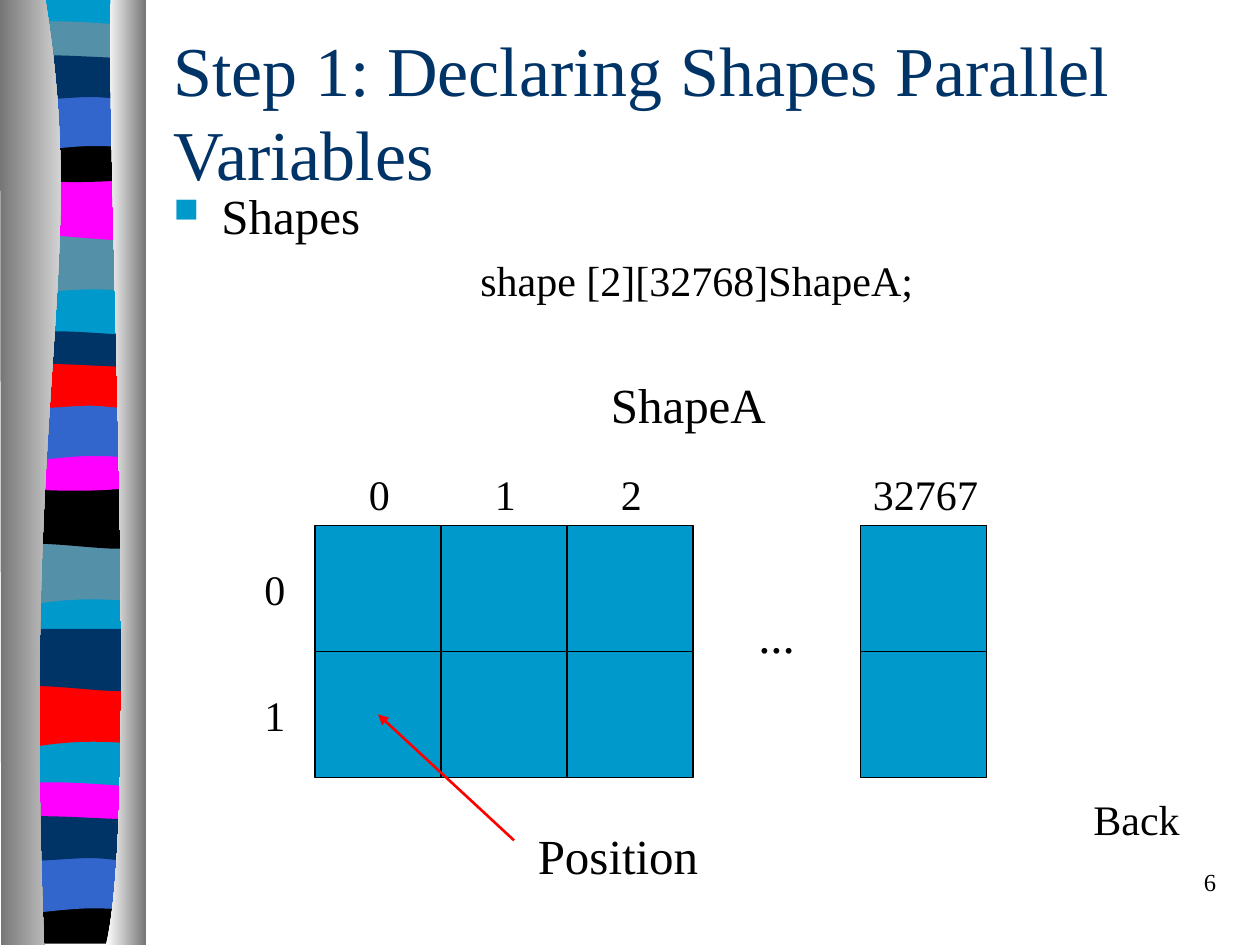
import dataclasses
import typing

import lxml.etree
import pptx
import pptx.dml.color
import pptx.enum.shapes
import pptx.enum.text
import pptx.oxml.ns
import pptx.util

Inches = pptx.util.Inches
Align = pptx.enum.text.PP_ALIGN


@dataclasses.dataclass(frozen=True)
class Theme:
    font: str = "Times New Roman"
    sky: str = "0099CC"
    steel: str = "5490A8"
    navy: str = "003366"
    blue: str = "3366CC"
    pink: str = "FF00FF"
    red: str = "FF0000"
    black: str = "000000"
    white: str = "FFFFFF"
    gray: str = "767676"
    title: int = 40
    large: int = 28
    small: int = 24
    page: int = 14


THEME = Theme()


class Band(typing.NamedTuple):
    form: list
    left: float
    top: float
    color: str


class Label(typing.NamedTuple):
    text: str
    left: float
    top: float
    width: float
    size: int = THEME.small


# Outlines: a pair is a corner, six numbers are a cubic curve.
SLAB = [(1.08, 0), (1.08, 7.48), (0, 7.48), (0, 0)]
WAVE = [(1.08, 0), (1.08, 0.47), (0.33, 0.39, 0.18, 0.55, 0, 0.47), (0, 0)]
HUMP = [(1.08, 0), (1.08, 0.47), (0.9, 0.55, 0.33, 0.41, 0, 0.47), (0, 0)]
LENS = [(1.08, 0.05), (1.08, 0.29), (0.9, 0.33, 0.18, 0.33, 0, 0.29), (0, 0.05),
        (0.06, 0, 0.23, 0.01, 0.41, 0.01), (0.59, 0.01, 0.94, 0.04, 1.08, 0.05)]
BOWL = [(1.08, 0), (1.08, 0.32), (0.9, 0.38, 0.18, 0.38, 0, 0.32), (0, 0),
        (0.66, 0.05, 0.85, 0, 1.08, 0)]
FOOT = [(1.08, 0), (1.08, 0.37), (0, 0.37), (0, 0), (0.66, 0.05, 0.85, 0, 1.08, 0)]
ARCH = [(1.08, 0), (1.08, 0.47), (0.91, 0.42, 0.84, 0.42, 0.66, 0.42),
        (0.48, 0.42, 0.16, 0.47, 0, 0.47), (0, 0)]
SWELL = [(1.08, 0.05), (1.08, 0.36), (1.01, 0.41, 0.84, 0.36, 0.66, 0.36),
         (0.48, 0.36, 0.11, 0.41, 0, 0.36), (0, 0.05),
         (0.15, 0, 0.73, 0.05, 0.91, 0.05), (1.09, 0.05, 1.04, 0.05, 1.08, 0.05)]
LEFT_POST = [(0.36, 0), (0.71, 2.17, 0.17, 2.97, 0.35, 7.5), (0.01, 7.5), (0, 0)]
RIGHT_POST = [(0.88, 0), (0.84, 1.26, 1.11, 6.47, 0.84, 7.5), (1.16, 7.5), (1.16, 0)]

BANDS = [
    Band(SLAB, 0.06, -0.01, THEME.sky),
    Band(WAVE, 0.06, 1.85, THEME.steel),
    Band(HUMP, 0.06, 1.41, THEME.pink),
    Band(LENS, 0.06, 0.16, THEME.steel),
    Band(BOWL, 0.06, 1.08, THEME.black),
    Band(ARCH, 0.06, 0.74, THEME.blue),
    Band(SWELL, 0.06, 0.41, THEME.navy),
    Band(WAVE, 0.05, 4.31, THEME.steel),
    Band(HUMP, 0.05, 3.86, THEME.black),
    Band(LENS, 0.05, 2.62, THEME.navy),
    Band(BOWL, 0.05, 3.53, THEME.pink),
    Band(ARCH, 0.05, 3.2, THEME.blue),
    Band(SWELL, 0.05, 2.86, THEME.red),
    Band(WAVE, 0.06, 5.44, THEME.red),
    Band(HUMP, 0.06, 4.99, THEME.navy),
    Band(LENS, 0.05, 6.2, THEME.pink),
    Band(FOOT, 0.05, 7.12, THEME.black),
    Band(ARCH, 0.05, 6.79, THEME.blue),
    Band(SWELL, 0.05, 6.45, THEME.navy),
]

CELL = 1
GRID_TOP = 4.17
COLUMNS = [2.5, 3.5, 4.5, 6.83]
LABELS = [
    Label("ShapeA", 4.75, 2.92, 1.75, THEME.large),
    *[Label(str(row), 2, GRID_TOP + 0.25 + row * CELL, 0.33) for row in range(2)],
    *[Label(str(col), COLUMNS[col] + 0.33, 3.67, 0.33) for col in range(3)],
    Label("32767", COLUMNS[-1], 3.67, 1.08),
    Label("...", 5.92, 4.75, 0.5, THEME.large),
    Label("Position", 4.17, 6.5, 1.83, THEME.large),
    Label("Back", 8.58, 6.25, 1),
]


def tint(code: str) -> pptx.dml.color.RGBColor:
    return pptx.dml.color.RGBColor.from_string(code)


def add_part(parent, tag: str, **attrs: str):
    return lxml.etree.SubElement(parent, pptx.oxml.ns.qn(tag), attrs)


def bend(shape, form: list) -> None:
    """Join each three line steps that stand for a curve into one cubic."""
    steps = iter(list(shape._element.iter(pptx.oxml.ns.qn("a:lnTo"))))
    for part in form[1:]:
        first = next(steps)
        if len(part) == 6:
            first.tag = pptx.oxml.ns.qn("a:cubicBezTo")
            for _ in range(2):
                other = next(steps)
                first.append(other[0])
                other.getparent().remove(other)


def draw_form(slide, form: list, left: float, top: float):
    points = [(Inches(left + x), Inches(top + y))
              for part in form for x, y in zip(part[::2], part[1::2])]
    pen = slide.shapes.build_freeform(*points[0], scale=1.0)
    pen.add_line_segments(points[1:], close=True)
    shape = pen.convert_to_shape()
    bend(shape, form)
    shape.shadow.inherit = False
    shape.line.fill.background()
    return shape


def draw_band(slide, band: Band) -> None:
    shape = draw_form(slide, band.form, band.left, band.top)
    shape.fill.solid()
    shape.fill.fore_color.rgb = tint(band.color)


def draw_post(slide, form: list, start: str, end: str) -> None:
    fill = draw_form(slide, form, 0, 0).fill
    fill.gradient()
    fill.gradient_angle = 0
    for stop, color in zip(fill.gradient_stops, (start, end)):
        stop.color.rgb = tint(color)


def draw_cell(slide, left: float, top: float) -> None:
    cell = slide.shapes.add_shape(pptx.enum.shapes.MSO_SHAPE.RECTANGLE,
                                  Inches(left), Inches(top), Inches(CELL), Inches(CELL))
    cell.shadow.inherit = False
    cell.fill.solid()
    cell.fill.fore_color.rgb = tint(THEME.sky)
    cell.line.color.rgb = tint(THEME.black)
    cell.line.width = pptx.util.Pt(0.75)


def add_frame(slide, left: float, top: float, width: float, height: float):
    box = slide.shapes.add_textbox(Inches(left), Inches(top), Inches(width), Inches(height))
    box.text_frame.word_wrap = True
    return box.text_frame


def write(frame, text: str, *, size: int = THEME.small, color: str = THEME.black,
          align=Align.LEFT, before: float = 0, hang: float = 0, bullet: str = "") -> None:
    """Fill the empty first paragraph, or add one more."""
    para = frame.add_paragraph() if frame.text else frame.paragraphs[0]
    para.alignment = align
    para.space_before = pptx.util.Pt(before)
    props = para._p.get_or_add_pPr()
    if hang:
        props.set("marL", str(Inches(hang)))
        props.set("indent", str(-Inches(hang)))
    if bullet:
        add_part(add_part(props, "a:buClr"), "a:srgbClr", val=THEME.sky)
        add_part(props, "a:buSzPct", val="70000")
        add_part(props, "a:buChar", char=bullet)
    run = para.add_run()
    run.text = text
    run.font.name = THEME.font
    run.font.size = pptx.util.Pt(size)
    run.font.color.rgb = tint(color)


def draw_arrow(slide, start: tuple, end: tuple) -> None:
    arrow = slide.shapes.add_connector(pptx.enum.shapes.MSO_CONNECTOR.STRAIGHT,
                                       *map(Inches, start + end))
    arrow.line.color.rgb = tint(THEME.red)
    arrow.line.width = pptx.util.Pt(1.5)
    add_part(arrow.line._get_or_add_ln(), "a:tailEnd", type="triangle")
    add_part(arrow._element.spPr, "a:effectLst")


def main() -> None:
    deck = pptx.Presentation()
    deck.slide_width, deck.slide_height = Inches(10), Inches(7.5)
    slide = deck.slides.add_slide(deck.slide_layouts[6])

    for band in BANDS:
        draw_band(slide, band)
    draw_post(slide, LEFT_POST, THEME.gray, THEME.white)
    draw_post(slide, RIGHT_POST, THEME.white, THEME.gray)

    title = add_frame(slide, 1.28, 0.5, 8.5, 0.75)
    title.vertical_anchor = pptx.enum.text.MSO_ANCHOR.MIDDLE
    write(title, "Step 1: Declaring Shapes Parallel Variables",
          size=THEME.title, color=THEME.navy)
    body = add_frame(slide, 1.28, 1.42, 8.5, 5.25)
    write(body, "Shapes", size=THEME.large, hang=0.38, bullet="■")
    write(body, "shape [2][32768]ShapeA;", align=Align.CENTER, before=6, hang=0.38)

    for left in COLUMNS:
        for row in range(2):
            draw_cell(slide, left, GRID_TOP + row * CELL)
    for label in LABELS:
        height = 0.57 if label.size == THEME.large else 0.5
        frame = add_frame(slide, label.left, label.top, label.width, height)
        write(frame, label.text, size=label.size)
    draw_arrow(slide, (4.08, 6.67), (3, 5.67))
    write(add_frame(slide, 7.67, 6.83, 2.08, 0.5), "6", size=THEME.page, align=Align.RIGHT)

    deck.save("out.pptx")


if __name__ == "__main__":
    main()
